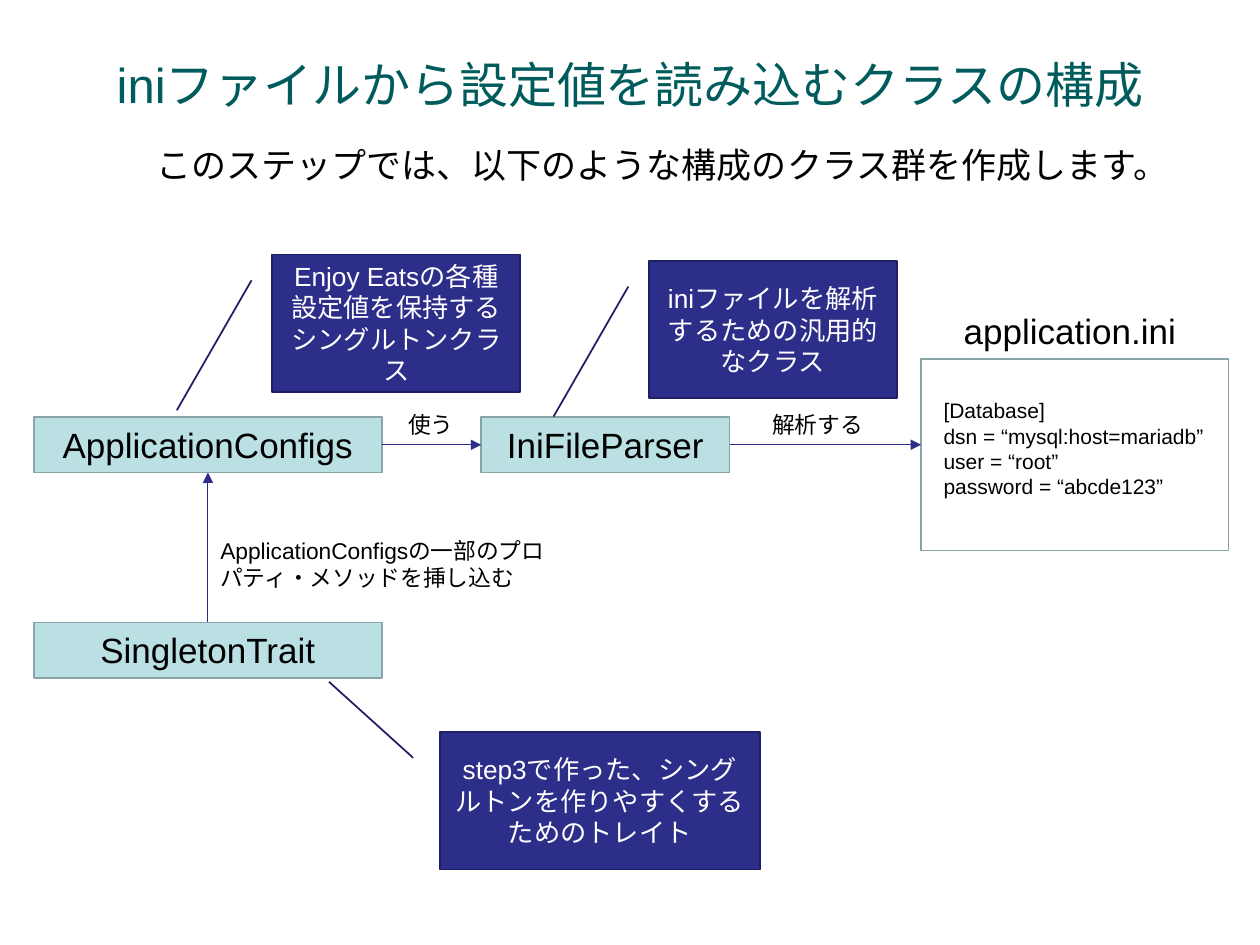
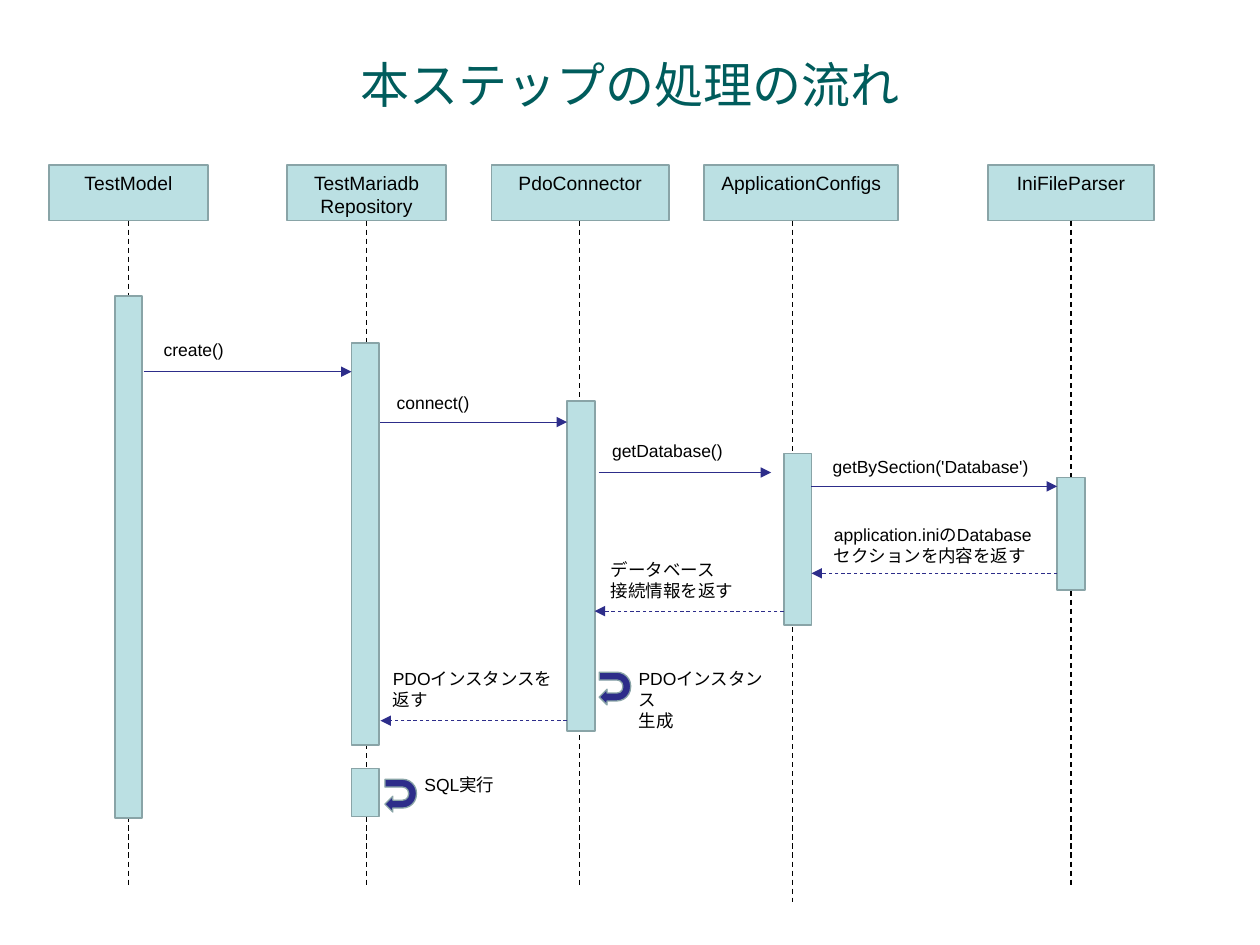
from lxml import etree
from pptx import Presentation
from pptx.dml.color import RGBColor
from pptx.enum import dml, shapes, text
from pptx.oxml.ns import qn
from pptx.util import Inches, Pt

# Shared look
FONT = "Arial"
TITLE, INK, WHITE = "005C5C", "000000", "FFFFFF"
PALE, EDGE = "BBE0E3", "89A4A7"
NAVY, NAVY_EDGE = "2D2D8A", "1E1E64"
LEFT, CENTER = text.PP_ALIGN.LEFT, text.PP_ALIGN.CENTER
TOP, MIDDLE = text.MSO_ANCHOR.TOP, text.MSO_ANCHOR.MIDDLE
MS = shapes.MSO_SHAPE
BOX_H = 0.44

# Slide 1: class structure
STRUCTURE_TITLE = "iniファイルから設定値を読み込むクラスの構成"
CLASSES = [  # left, top, width, name
    (0.27, 3.31, 2.76, "ApplicationConfigs"),
    (0.27, 4.94, 2.76, "SingletonTrait"),
    (3.82, 3.31, 1.97, "IniFileParser"),
]
INI_FILE = (7.31, 2.85, 2.44, 1.52)
STRUCTURE_LABELS = [  # left, top, width, height, size, lines
    (1.14, 1.09, 8.5, 0.44, 20, ["このステップでは、以下のような構成のクラス群を作成します。"]),
    (7.55, 2.41, 2.26, 0.44, 20, ["application.ini"]),
    (7.39, 3.11, 2.36, 1.1, 12, ["[Database]", "dsn = “mysql:host=mariadb”",
                                 "user = “root”", "password = “abcde123”"]),
    (6.03, 3.21, 1.09, 0.32, 13, ["解析する"]),
    (3.14, 3.21, 0.71, 0.32, 13, ["使う"]),
    (1.65, 4.21, 2.91, 0.54, 13, ["ApplicationConfigsの一部のプロパティ・メソッドを挿し込む"]),
]
STRUCTURE_ARROWS = [  # x1, y1, x2, y2
    (3.03, 3.53, 3.82, 3.53),
    (5.79, 3.53, 7.31, 3.53),
    (1.65, 4.94, 1.65, 3.75),
]
CALLOUTS = [  # left, top, width, pointer end (y, x), text
    (2.16, 2.02, 1.97, (1.134, -0.384), "Enjoy Eatsの各種設定値を保持するシングルトンクラス"),
    (5.15, 2.07, 1.97, (1.134, -0.384), "iniファイルを解析するための汎用的なクラス"),
    (3.49, 5.81, 2.54, (-0.366, -0.346), "step3で作った、シングルトンを作りやすくするためのトレイト"),
]

# Slide 2: processing sequence
FLOW_TITLE = "本ステップの処理の流れ"
ACTOR_TOP, BAR_W = 1.31, 0.22
ACTORS = [  # left, width, name lines, lifeline x, lifeline end, bar left, bars (top, height)
    (0.39, 1.26, ["TestModel"], 1.02, 7.05, 0.91, [(2.35, 4.14)]),
    (2.28, 1.26, ["TestMariadb", "Repository"], 2.91, 7.04, 2.79, [(2.72, 3.19), (6.1, 0.38)]),
    (3.9, 1.41, ["PdoConnector"], 4.6, 7.04, 4.5, [(3.18, 2.62)]),
    (5.59, 1.54, ["ApplicationConfigs"], 6.29, 7.16, 6.22, [(3.6, 1.36)]),
    (7.84, 1.32, ["IniFileParser"], 8.5, 7.05, 8.39, [(3.79, 0.89)]),
]
MESSAGES = [  # x1, x2, y, label left, top, width, height, lines
    (1.14, 2.79, 2.95, 1.2, 2.64, 1.22, 0.27, ["create()"]),
    (3.02, 4.5, 3.35, 3.05, 3.06, 0.9, 0.27, ["connect()"]),
    (4.75, 6.12, 3.75, 4.76, 3.44, 1.37, 0.27, ["getDatabase()"]),
    (6.44, 8.39, 3.86, 6.51, 3.57, 1.85, 0.27, ["getBySection('Database')"]),
    (8.39, 6.44, 4.55, 6.52, 4.11, 1.85, 0.44, ["application.iniのDatabaseセクションを内容を返す"]),
    (6.22, 4.72, 4.85, 4.75, 4.39, 1.46, 0.44, ["データベース", "接続情報を返す"]),
    (4.5, 3.02, 5.72, 3.02, 5.25, 1.46, 0.44, ["PDOインスタンスを返す"]),
]
SELF_CALLS = [  # arrow left, top, label left, top, width, height, lines
    (4.75, 5.34, 4.97, 5.25, 1.26, 0.6, ["PDOインスタンス", "生成"]),
    (3.05, 6.19, 3.27, 6.09, 1.25, 0.27, ["SQL実行"]),
]


def rgb(color):
    return RGBColor.from_string(color)


def write(sp, lines, size, color=INK, align=LEFT, anchor=TOP):
    tf = sp.text_frame
    tf.word_wrap = True
    tf.vertical_anchor = anchor
    for i, line in enumerate(lines):
        p = tf.paragraphs[0] if i == 0 else tf.add_paragraph()
        p.text = line
        p.alignment = align
        p.font.name, p.font.size = FONT, Pt(size)
        p.font.color.rgb = rgb(color)


def shape(s, kind, x, y, w, h, fill=PALE, edge=EDGE, width=1):
    sp = s.shapes.add_shape(kind, Inches(x), Inches(y), Inches(w), Inches(h))
    sp.shadow.inherit = False
    if fill:
        sp.fill.solid()
        sp.fill.fore_color.rgb = rgb(fill)
    else:
        sp.fill.background()
    sp.line.color.rgb = rgb(edge)
    sp.line.width = Pt(width)
    return sp


def label(s, x, y, w, h, size, lines):
    write(s.shapes.add_textbox(Inches(x), Inches(y), Inches(w), Inches(h)), lines, size)


def line(s, x1, y1, x2, y2, color=NAVY, width=0.5, dashed=False, arrow=True):
    c = s.shapes.add_connector(shapes.MSO_CONNECTOR.STRAIGHT,
                               Inches(x1), Inches(y1), Inches(x2), Inches(y2))
    c.line.color.rgb = rgb(color)
    c.line.width = Pt(width)
    if dashed:
        c.line.dash_style = dml.MSO_LINE.DASH
    if arrow:
        etree.SubElement(c.line._get_or_add_ln(), qn("a:tailEnd"), type="triangle")
    etree.SubElement(c._element.spPr, qn("a:effectLst"))


def titled_slide(prs, title):
    s = prs.slides.add_slide(prs.slide_layouts[5])
    sp = s.shapes.title
    sp.left, sp.top, sp.width, sp.height = map(Inches, (0.75, 0.25, 8.5, 0.83))
    tf = sp.text_frame
    tf.auto_size = text.MSO_AUTO_SIZE.NONE
    tf.margin_left = tf.margin_right = tf.margin_top = tf.margin_bottom = 0
    write(sp, [title], 28, TITLE, CENTER, MIDDLE)
    return s


def structure_slide(prs):
    s = titled_slide(prs, STRUCTURE_TITLE)
    for x, y, w, name in CLASSES:
        write(shape(s, MS.RECTANGLE, x, y, w, BOX_H), [name], 20, align=CENTER)
    shape(s, MS.RECTANGLE, *INI_FILE, fill=None)
    for ends in STRUCTURE_ARROWS:
        line(s, *ends)
    for item in STRUCTURE_LABELS:
        label(s, *item)
    for x, y, w, pointer, note in CALLOUTS:
        sp = shape(s, MS.LINE_CALLOUT_1, x, y, w, 1.09, NAVY, NAVY_EDGE)
        for i, value in enumerate((0.188, -0.083) + pointer):
            sp.adjustments[i] = value
        write(sp, [note], 15, WHITE, CENTER, MIDDLE)


def flow_slide(prs):
    s = titled_slide(prs, FLOW_TITLE)
    # Actors with lifelines and activation bars
    for x, w, name, life_x, life_end, bar_x, bars in ACTORS:
        write(shape(s, MS.RECTANGLE, x, ACTOR_TOP, w, BOX_H), name, 11, align=CENTER)
        line(s, life_x, ACTOR_TOP + BOX_H, life_x, life_end, INK, 0.75, dashed=True, arrow=False)
        for y, h in bars:
            shape(s, MS.RECTANGLE, bar_x, y, BAR_W, h)
    # Calls run right, dashed returns run left
    for x1, x2, y, *place, lines in MESSAGES:
        line(s, x1, y, x2, y, dashed=x2 < x1)
        label(s, *place, 10, lines)
    for x, y, *place, lines in SELF_CALLS:
        sp = shape(s, MS.U_TURN_ARROW, x, y, 0.26, 0.25, NAVY, EDGE, 0)
        sp.rotation = 90
        sp.adjustments[4] = 1.0
        label(s, *place, 10, lines)


def main():
    prs = Presentation()
    prs.slide_width, prs.slide_height = Inches(10), Inches(7.5)
    structure_slide(prs)
    flow_slide(prs)
    prs.save("out.pptx")


if __name__ == "__main__":
    main()
